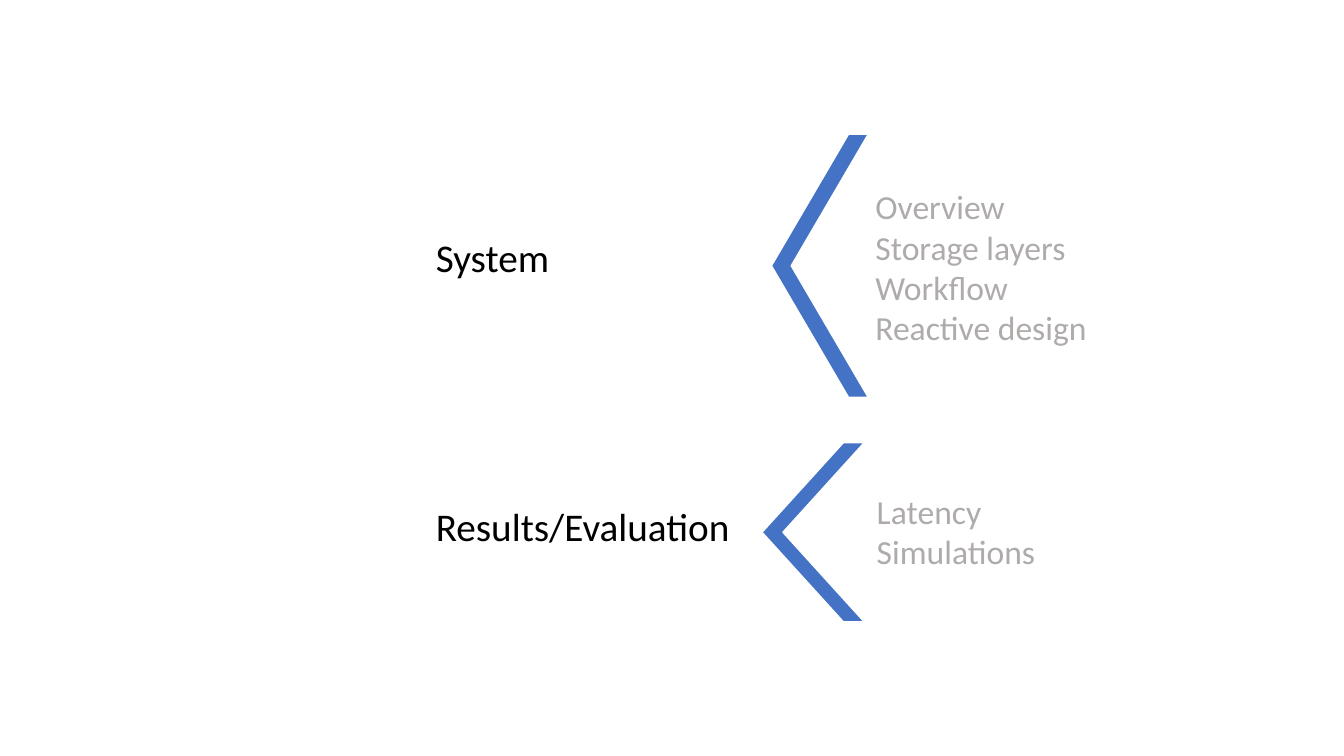
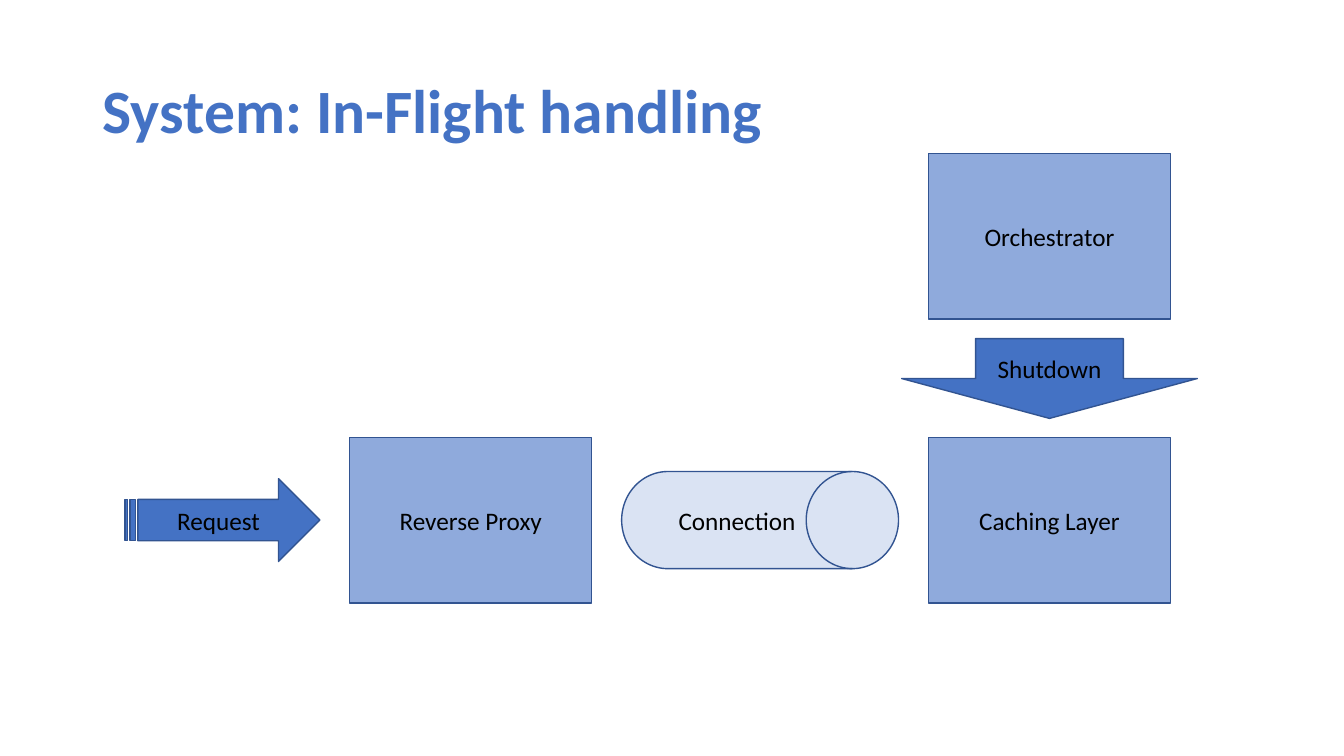
import pptx
import pptx.util
import pptx.dml.color
import pptx.enum.shapes
import pptx.enum.text

WIDE, HIGH = pptx.util.Inches(13.333), pptx.util.Inches(7.5)
BLUE, PALE, MIST = "4472C4", "8FAADC", "DAE3F3"
EDGE, GRAY, BLACK, WHITE = "325491", "AFABAB", "000000", "FFFFFF"
KIND = pptx.enum.shapes.MSO_SHAPE
ALIGN = pptx.enum.text.PP_ALIGN
ANCHOR = pptx.enum.text.MSO_ANCHOR
PT = pptx.util.Pt

TITLE = {"font": {"size": PT(44), "bold": True}, "para": {"line_spacing": 0.9},
         "frame": {"vertical_anchor": ANCHOR.MIDDLE}, "color": BLUE}
TOPIC = {"font": {"size": PT(28)},
         "para": {"line_spacing": 0.9, "space_before": PT(10)}, "color": BLACK}
ITEMS = {"font": {"size": PT(24)}, "color": GRAY}
LABEL = {"font": {"size": PT(18)}, "para": {"alignment": ALIGN.CENTER},
         "frame": {"vertical_anchor": ANCHOR.MIDDLE}, "color": BLACK}


def paint(part, tone):
    part.rgb = pptx.dml.color.RGBColor.from_string(tone)


def apply(part, values):
    for name, value in values.items():
        setattr(part, name, value)


def place(left, top, width, height):
    return [round(share * side / 100) for share, side in
            zip((left, top, width, height), (WIDE, HIGH, WIDE, HIGH))]


def write(shape, lines, style):
    frame = shape.text_frame
    apply(frame, {"word_wrap": True, **style.get("frame", {})})
    for index, line in enumerate(lines):
        para = frame.paragraphs[0] if index == 0 else frame.add_paragraph()
        apply(para, style.get("para", {}))
        run = para.add_run()
        run.text = line
        apply(run.font, {"name": "Calibri", **style["font"]})
        paint(run.font.color, style["color"])


def add_text(slide, area, lines, style):
    write(slide.shapes.add_textbox(*place(*area)), lines, style)


def add_block(slide, kind, area, fill, edge=EDGE, label=None):
    shape = slide.shapes.add_shape(kind, *place(*area))
    shape.shadow.inherit = False
    shape.fill.solid()
    paint(shape.fill.fore_color, fill)
    shape.line.width = PT(1)
    paint(shape.line.color, edge)
    if label:
        write(shape, [label], LABEL)
    return shape


def add_bracket(slide, area):
    shape = add_block(slide, KIND.CHEVRON, area, BLUE, WHITE)
    shape.adjustments[0] = 0.796
    shape.rotation = 180


def add_topic(slide, name, top, bracket, items, area):
    add_text(slide, (31.7, top, 25.4, 15.7), [name], TOPIC)
    add_bracket(slide, bracket)
    add_text(slide, area, items, ITEMS)


def build_topics(slide):
    add_topic(slide, "System", 30.9, (57.4, 17.75, 7.2, 34.8),
              ["Overview", "Storage layers", "Workflow", "Reactive design"],
              (64.4, 24, 26.6, 22.9))
    add_topic(slide, "Results/Evaluation", 66.5, (56.7, 58.55, 7.6, 23.7),
              ["Latency", "Simulations"], (64.5, 64.3, 26.6, 12.1))


def build_flow(slide):
    add_text(slide, (6.9, 5.35, 86.25, 19.3), ["System: In-Flight handling"], TITLE)
    box_w, box_h = 18, 21.9
    axis, gap = 68.8, 2.23
    left = 9.3
    for kind, label, width, height, fill in (
            (KIND.STRIPED_RIGHT_ARROW, "Request", 14.5, 10.95, BLUE),
            (KIND.RECTANGLE, "Reverse Proxy", box_w, box_h, PALE),
            (KIND.FLOWCHART_DIRECT_ACCESS_STORAGE, "Connection", 20.6, 12.85, MIST),
            (KIND.RECTANGLE, "Caching Layer", box_w, box_h, PALE)):
        add_block(slide, kind, (left, axis - height / 2, width, height), fill, label=label)
        center = left + width / 2
        left += width + gap

    top, gap = 20.3, 2.6
    for kind, label, width, height, fill in (
            (KIND.RECTANGLE, "Orchestrator", box_w, box_h, PALE),
            (KIND.DOWN_ARROW, "Shutdown", 22, 10.55, BLUE)):
        add_block(slide, kind, (center - width / 2, top, width, height), fill, label=label)
        top += height + gap


def main():
    deck = pptx.Presentation()
    apply(deck, {"slide_width": WIDE, "slide_height": HIGH})
    for build in (build_topics, build_flow):
        build(deck.slides.add_slide(deck.slide_layouts[6]))
    deck.save("out.pptx")


if __name__ == "__main__":
    main()
